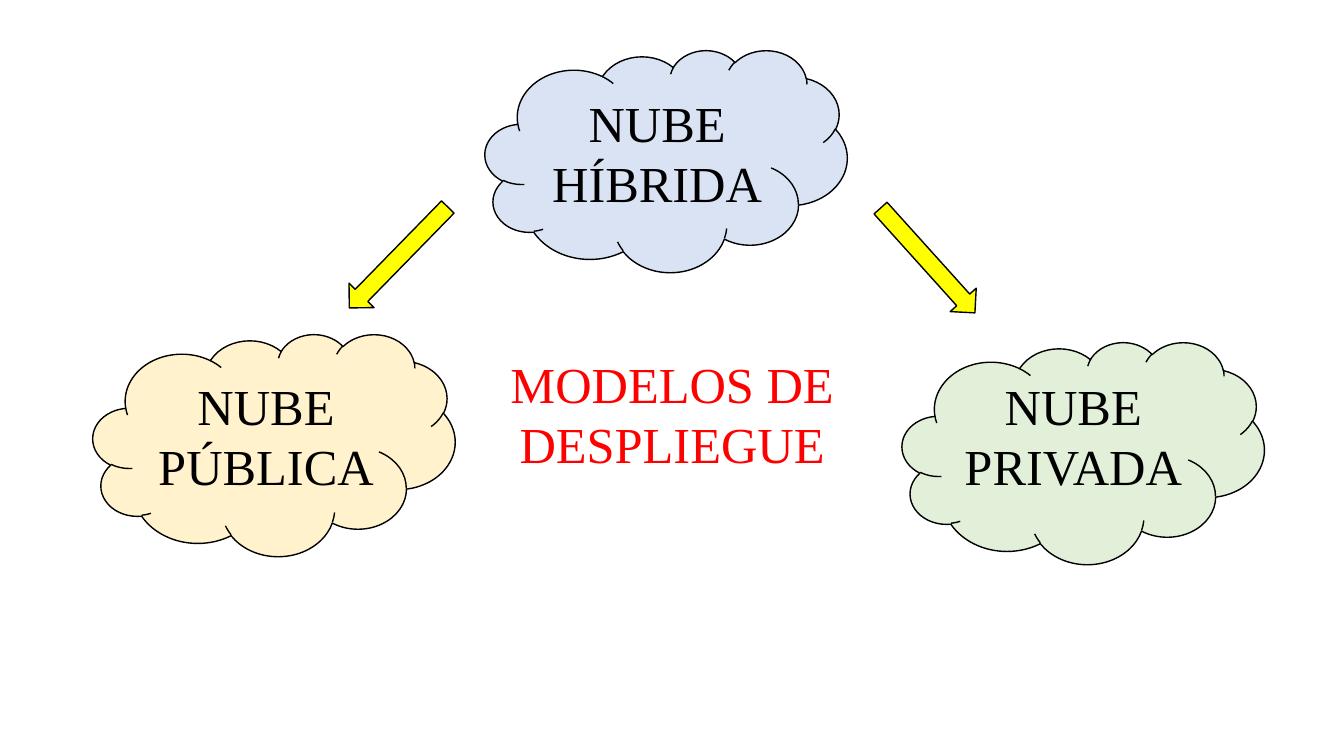
from pptx import Presentation
from pptx.dml.color import RGBColor
from pptx.enum.shapes import MSO_SHAPE
from pptx.enum.text import MSO_ANCHOR, MSO_AUTO_SIZE, PP_ALIGN
from pptx.util import Emu, Inches, Pt

SCALE = 914400 / 100.8
FONT = "Times New Roman"
BLACK = RGBColor(0x00, 0x00, 0x00)
RED = RGBColor(0xFF, 0x00, 0x00)
YELLOW = RGBColor(0xFF, 0xFF, 0x00)
CREAM = RGBColor(0xFF, 0xF2, 0xCC)
BLUE = RGBColor(0xDA, 0xE3, 0xF3)
GREEN = RGBColor(0xE2, 0xF0, 0xD9)

# Cloud: left, top, fill; label: left, top, words
CLOUDS = [
    (93, 334, CREAM, 124, 370, "NUBE PÚBLICA"),
    (485, 50, BLUE, 515, 87, "NUBE HÍBRIDA"),
    (902, 342, GREEN, 931, 370, "NUBE PRIVADA"),
]
# Arrow: left, top, turn
ARROWS = [(328, 240, 314.3), (857, 243, 228)]


def px(*sizes):
    return [Emu(round(size * SCALE)) for size in sizes]


def add_form(slide, kind, box, fill):
    form = slide.shapes.add_shape(kind, *px(*box))
    form.shadow.inherit = False
    form.fill.solid()
    form.fill.fore_color.rgb = fill
    form.line.color.rgb = BLACK
    form.line.width = Pt(1)
    return form


def set_text(shape, words, color):
    frame = shape.text_frame
    frame.word_wrap = True
    frame.auto_size = MSO_AUTO_SIZE.NONE
    frame.vertical_anchor = MSO_ANCHOR.TOP
    para = frame.paragraphs[0]
    para.alignment = PP_ALIGN.CENTER
    run = para.add_run()
    run.text = words
    run.font.name = FONT
    run.font.size = Pt(36)
    run.font.color.rgb = color


def add_title(slide, box, words):
    title = slide.shapes.title
    title.left, title.top, title.width, title.height = px(*box)
    set_text(title, words, RED)


def add_label(slide, box, words):
    set_text(slide.shapes.add_textbox(*px(*box)), words, BLACK)


def main():
    deck = Presentation()
    deck.slide_width, deck.slide_height = Inches(13.33), Inches(7.5)
    slide = deck.slides.add_slide(deck.slide_layouts[5])

    # Central title
    add_title(slide, (491, 348, 362, 132), "MODELOS DE DESPLIEGUE")

    # Clouds with their labels
    for left, top, fill, text_left, text_top, words in CLOUDS:
        add_form(slide, MSO_SHAPE.CLOUD, (left, top, 362, 222), fill)
        add_label(slide, (text_left, text_top, 284, 132), words)

    # Arrows from the hybrid cloud
    for left, top, turn in ARROWS:
        arrow = add_form(slide, MSO_SHAPE.LEFT_ARROW, (left, top, 141, 35), YELLOW)
        arrow.rotation = turn

    deck.save("out.pptx")


main()
